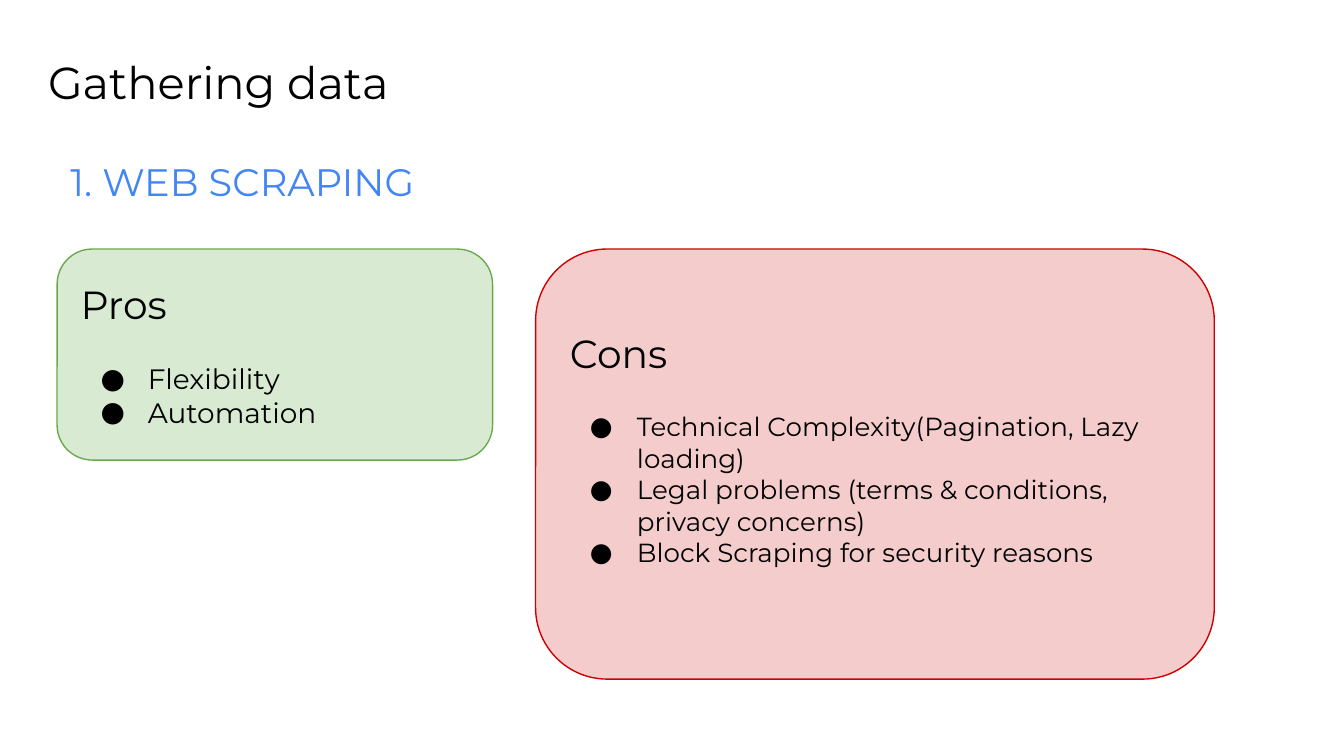
from dataclasses import dataclass

from lxml import etree
from pptx import Presentation
from pptx import util as u
from pptx.dml.color import RGBColor
from pptx.enum import shapes, text
from pptx.oxml import ns


@dataclass(frozen=True)
class Theme:
    font: str = "Montserrat"
    ink: str = "000000"
    accent: str = "4285F4"
    green_fill: str = "D9EAD3"
    green_line: str = "6AA84F"
    red_fill: str = "F4CCCC"
    red_line: str = "CC0000"
    title_size: float = 24
    subtitle_size: float = 20.5
    heading_size: float = 21
    pros_size: float = 15
    cons_size: float = 14


THEME = Theme()
# A 16:9 slide
WIDTH = u.Inches(10)
HEIGHT = u.Emu(WIDTH * 9 // 16)
INSET = u.Inches(0.1)
MARGIN = 4.25
CARD_TOP = 32.95


def place(left, top, width, height):
    """Turn percentages of the slide's size into lengths."""
    return (int(WIDTH * left / 100), int(HEIGHT * top / 100),
            int(WIDTH * width / 100), int(HEIGHT * height / 100))


def prepare_frame(text_frame, anchor):
    text_frame.word_wrap = True
    text_frame.vertical_anchor = anchor
    text_frame.margin_left = text_frame.margin_right = INSET
    text_frame.margin_top = text_frame.margin_bottom = INSET


def write(paragraph, words, size, color=THEME.ink):
    paragraph.text = words
    paragraph.alignment = text.PP_ALIGN.LEFT
    for run in paragraph.runs:
        run.font.name = THEME.font
        run.font.size = u.Pt(size)
        run.font.color.rgb = RGBColor.from_string(color)


def add_bullet(paragraph, size):
    properties = paragraph._p.get_or_add_pPr()
    properties.set("marL", str(u.Inches(0.5)))
    properties.set("indent", str(u.Inches(-0.35)))
    bullet_color = etree.SubElement(properties, ns.qn("a:buClr"))
    etree.SubElement(bullet_color, ns.qn("a:srgbClr"), val=THEME.ink)
    etree.SubElement(properties, ns.qn("a:buSzPts"), val=str(size * 100))
    etree.SubElement(properties, ns.qn("a:buFont"), typeface=THEME.font)
    etree.SubElement(properties, ns.qn("a:buChar"), char="●")


def add_label(slide, box, words, size, color):
    text_frame = slide.shapes.add_textbox(*place(*box)).text_frame
    prepare_frame(text_frame, text.MSO_ANCHOR.TOP)
    write(text_frame.paragraphs[0], words, size, color)


def add_card(slide, box, fill, line, heading, items, size):
    shape = slide.shapes.add_shape(
        shapes.MSO_SHAPE.ROUNDED_RECTANGLE, *place(*box))
    shape.shadow.inherit = False
    shape.fill.solid()
    shape.fill.fore_color.rgb = RGBColor.from_string(fill)
    shape.line.color.rgb = RGBColor.from_string(line)
    shape.line.width = u.Pt(0.75)

    text_frame = shape.text_frame
    prepare_frame(text_frame, text.MSO_ANCHOR.MIDDLE)
    title = text_frame.paragraphs[0]
    write(title, heading, THEME.heading_size)
    title.space_after = u.Pt(18.3)
    for item in items:
        paragraph = text_frame.add_paragraph()
        write(paragraph, item, size)
        add_bullet(paragraph, size)
    return shape


def main():
    presentation = Presentation()
    presentation.slide_width, presentation.slide_height = WIDTH, HEIGHT
    slide = presentation.slides.add_slide(presentation.slide_layouts[6])

    # Headings
    add_label(slide, (2.6, 5.51, 93.2, 15.29), "Gathering data",
              THEME.title_size, THEME.ink)
    add_label(slide, (MARGIN, 19.2, 46.3, 6.93), "1. WEB SCRAPING",
              THEME.subtitle_size, THEME.accent)

    # Pros and cons
    add_card(slide, (MARGIN, CARD_TOP, 32.4, 27.91),
             THEME.green_fill, THEME.green_line, "Pros",
             ["Flexibility", "Automation"], THEME.pros_size)
    cons = add_card(slide, (39.85, CARD_TOP, 50.5, 56.89),
                    THEME.red_fill, THEME.red_line, "Cons",
                    ["Technical Complexity(Pagination, Lazy loading)",
                     "Legal problems (terms & conditions, privacy concerns)",
                     "Block Scraping for security reasons"],
                    THEME.cons_size)
    # The cons text sits slightly above the middle of its card
    cons.text_frame.margin_bottom = u.Inches(0.33)

    presentation.save("out.pptx")


if __name__ == "__main__":
    main()
